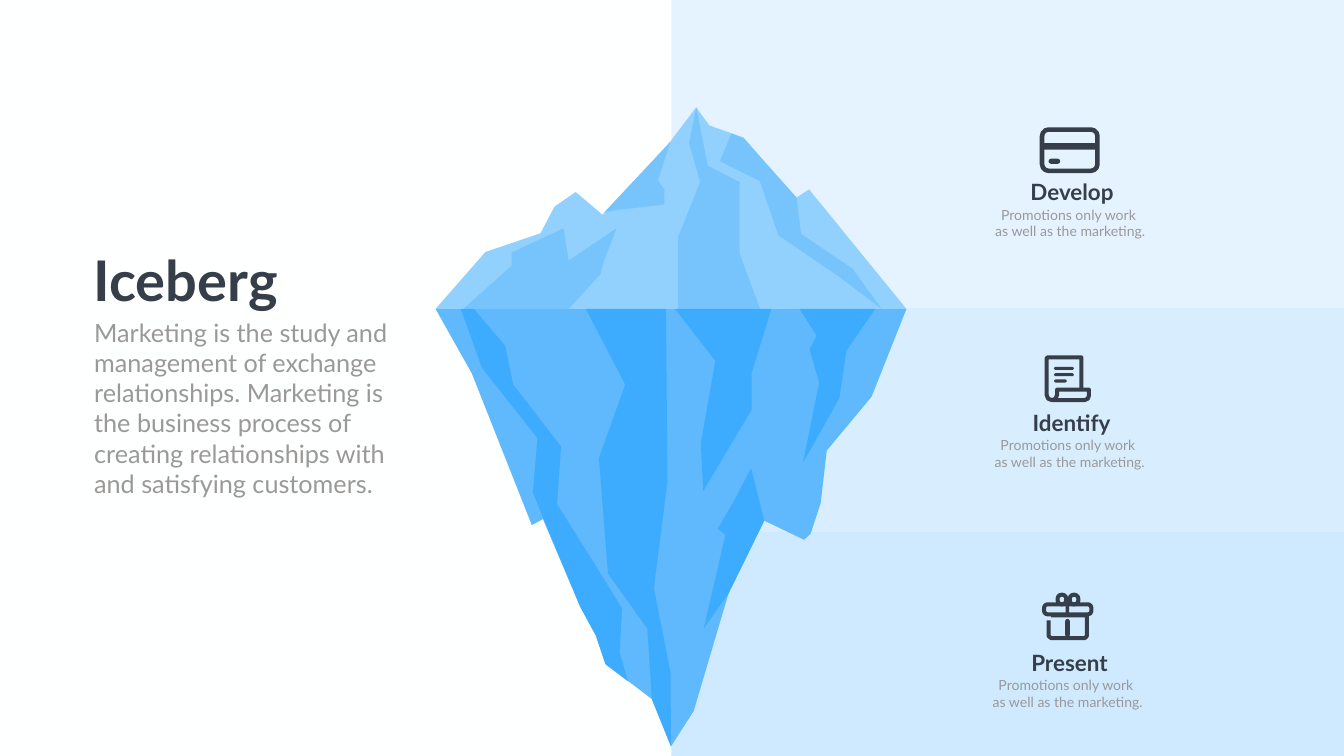
from pptx import Presentation
from pptx.dml.color import RGBColor
from pptx.enum.shapes import MSO_SHAPE
from pptx.enum.text import MSO_AUTO_SIZE, PP_ALIGN
from pptx.util import Cm, Pt

RECT = MSO_SHAPE.RECTANGLE
ROUND = MSO_SHAPE.ROUNDED_RECTANGLE
CENTER, LEFT = PP_ALIGN.CENTER, PP_ALIGN.LEFT
GROW = MSO_AUTO_SIZE.SHAPE_TO_FIT_TEXT

PAPER = RGBColor(0xFE, 0xFF, 0xFF)
AIR = RGBColor(0xE4, 0xF3, 0xFF)
SEA = RGBColor(0xD8, 0xEE, 0xFF)
DEEP = RGBColor(0xCF, 0xEA, 0xFF)
SNOW = RGBColor(0x92, 0xD1, 0xFE)
SHADE = RGBColor(0x77, 0xC4, 0xFD)
ICE = RGBColor(0x5F, 0xB9, 0xFC)
BLUE = RGBColor(0x3D, 0xAC, 0xFF)
INK = RGBColor(0x36, 0x3E, 0x49)
GRAY = RGBColor(0x9A, 0x99, 0x98)

FONT = "Lato"
WIDTH, HEIGHT = 26.66, 15
WATER = 6.13  # waterline of the iceberg

BODY = ("Marketing is the study and management of exchange relationships. "
        "Marketing is the business process of creating relationships with "
        "and satisfying customers.")
NOTE = ["Promotions only work ", "as well as the marketing."]
STEPS = [("Develop", 19.96, 3.49), ("Identify", 19.95, 8.07),
         ("Present", 19.91, 12.83)]

# Outlines of the iceberg, back to front, in inches
FACETS = [
    (ICE, [(8.64, WATER), (9.36, 7.41), (10.55, 10.42), (10.77, 10.3),
           (11.51, 12.04), (11.82, 12.61), (12.01, 13.17), (12.93, 13.87),
           (13.31, 14.81), (13.76, 14.11), (14.45, 11.78), (15.16, 10.33),
           (15.95, 10.71), (16.08, 10.59), (16.28, 9.98), (16.4, 8.94),
           (17.29, 7.87), (17.98, WATER)]),
    (SNOW, [(8.64, WATER), (9.63, 5), (10.72, 4.63), (11, 4.1),
            (11.42, 3.81), (11.95, 4.26), (13.22, 2.91), (13.81, 2.13),
            (14.07, 2.49), (14.75, 2.73), (15.18, 3.23), (15.8, 3.92),
            (16.05, 3.76), (17.98, WATER)]),
    (SHADE, [(9.19, WATER), (10.15, 5.27), (10.15, 5.01), (11.18, 4.53),
             (11.28, 5.17), (12.23, 4.53), (11.97, 5.2), (11.91, 5.44),
             (11.28, WATER)]),
    (SHADE, [(13.45, WATER), (13.45, 4.71), (13.89, 3.61), (13.67, 2.85),
             (13.81, 2.13), (14.04, 3.29), (14.67, 3.61), (14.67, 5.03),
             (15.08, WATER)]),
    (SHADE, [(17.49, WATER), (16.91, 5.33), (15.89, 4.64), (15.8, 3.92),
             (14.75, 2.74), (14.51, 2.65), (14.28, 3.2), (15.07, 3.59),
             (15.44, 4.67), (16.66, 5.5)]),
    (SHADE, [(13.3, 2.81), (13.05, 3.58), (13.18, 3.76), (13.18, 4.06),
             (12.23, 4.17), (11.99, 4.21)]),
    (BLUE, [(9.14, WATER), (9.56, 7.3), (10.66, 8.69), (10.57, 9.78),
            (11.26, 11.44), (11.51, 12.04), (11.82, 12.61), (12.01, 13.18),
            (12.46, 13.52), (12.29, 12.94), (12.34, 12.07), (11.05, 10),
            (11.13, 8.86), (10.18, 7.63), (10.02, 6.86), (9.4, WATER)]),
    (BLUE, [(13.21, WATER), (13.24, 9.55), (12.97, 11.67), (13.3, 13.34),
            (13.31, 14.81), (12.93, 13.87), (12.84, 12.47), (12.06, 11.38),
            (11.88, 9.09), (12.4, 7.63), (11.62, WATER)]),
    (BLUE, [(15.3, WATER), (14.91, 7.4), (14.91, 8.13), (13.95, 9.74),
            (13.9, 8.8), (14.19, 7.16), (13.39, WATER)]),
    (BLUE, [(17.36, WATER), (16.79, 6.96), (16.65, 7.9), (15.93, 9.18),
            (16.25, 7.59), (16.06, 6.93), (16.2, 6.66), (15.86, WATER)]),
    (BLUE, [(14.45, 11.78), (15.16, 10.33), (14.9, 9.29), (14.53, 9.99),
            (14.24, 10.49), (14.39, 10.61), (13.96, 12.47)]),
]


def inch(value):
    return Cm(value * 2.54)


def paint(shape, fill=None, line=None, width=0.08):
    shape.shadow.inherit = False
    for part, color in ((shape.fill, fill), (shape.line.fill, line)):
        if color is None:
            part.background()
        else:
            part.solid()
            part.fore_color.rgb = color
    if line is not None:
        shape.line.width = inch(width)


def block(slide, kind, box, fill=None, line=None, width=0.08, curve=0.5):
    """Add a plain or rounded rectangle; box is left, top, width, height."""
    shape = slide.shapes.add_shape(kind, *map(inch, box))
    if kind == ROUND:
        shape.adjustments[0] = curve
    paint(shape, fill, line, width)


def facet(slide, points, fill):
    trace(slide, points, True, fill=fill)


def stroke(slide, points):
    trace(slide, points, False, line=INK)


def trace(slide, points, close, **look):
    spots = [(inch(x), inch(y)) for x, y in points]
    pen = slide.shapes.build_freeform(*spots[0])
    pen.add_line_segments(spots[1:], close=close)
    paint(pen.convert_to_shape(), **look)


def label(slide, box, lines, size, color, bold=False, align=LEFT, wrap=True):
    frame = slide.shapes.add_textbox(*map(inch, box)).text_frame
    frame.word_wrap = wrap
    frame.auto_size = GROW
    for i, line in enumerate(lines):
        para = frame.add_paragraph() if i else frame.paragraphs[0]
        para.alignment = align
        run = para.add_run()
        run.text = line
        run.font.name = FONT
        run.font.size = Pt(size)
        run.font.bold = bold
        run.font.color.rgb = color


def card(slide):
    block(slide, ROUND, (20.67, 2.57, 1.1, 0.82), line=INK, width=0.09,
          curve=0.16)
    block(slide, RECT, (20.69, 2.84, 1.07, 0.13), INK)
    block(slide, ROUND, (20.8, 3.15, 0.23, 0.1), INK)


def scroll(slide):
    stroke(slide, [(21.45, 7.73), (21.45, 7.09), (20.78, 7.09),
                   (20.76, 7.11), (20.76, 7.83), (20.79, 7.91),
                   (20.87, 7.94)])
    stroke(slide, [(20.87, 7.94), (20.94, 7.91), (20.97, 7.83),
                   (20.97, 7.73), (21.6, 7.73), (21.6, 7.85),
                   (21.58, 7.91), (21.51, 7.94), (20.87, 7.94)])
    for row, width in enumerate((0.39, 0.39, 0.25)):
        block(slide, ROUND, (20.91, 7.28 + row * 0.125, width, 0.06), INK)


def gift(slide):
    for left in (20.98, 21.22):
        block(slide, ROUND, (left, 11.8, 0.17, 0.19), line=INK, curve=0.45)
    block(slide, ROUND, (21.13, 12.28, 0.09, 0.36), INK)
    block(slide, RECT, (21.14, 11.99, 0.07, 0.21), INK)
    stroke(slide, [(20.8, 12.31), (20.8, 12.62), (20.85, 12.66),
                   (21.52, 12.66), (21.56, 12.62), (21.56, 12.21),
                   (20.85, 12.21)])
    block(slide, ROUND, (20.71, 11.99, 0.94, 0.2), line=INK, curve=0.37)


def main():
    deck = Presentation()
    deck.slide_width, deck.slide_height = inch(WIDTH), inch(HEIGHT)
    slide = deck.slides.add_slide(deck.slide_layouts[6])
    slide.background.fill.solid()
    slide.background.fill.fore_color.rgb = PAPER

    edges = [0, 6.11, 10.56, HEIGHT]
    for top, end, color in zip(edges, edges[1:], (AIR, SEA, DEEP)):
        block(slide, RECT, (13.32, top, WIDTH - 13.32, end - top), color)
    for draw in (card, scroll, gift):
        draw(slide)
    for color, points in FACETS:
        facet(slide, points, color)

    for name, left, top in STEPS:
        label(slide, (left, top, 2.61, 0.64), [name], 32, INK, True, CENTER)
        label(slide, (left - 0.74, top + 0.55, 4.02, 0.77), NOTE, 20, GRAY,
              align=CENTER)
    label(slide, (1.76, 4.82, 3.95, 1.45), ["Iceberg"], 80, INK, True,
          wrap=False)
    label(slide, (1.77, 6.24, 6.54, 3.74), [BODY], 36, GRAY)
    deck.save("out.pptx")


if __name__ == "__main__":
    main()
